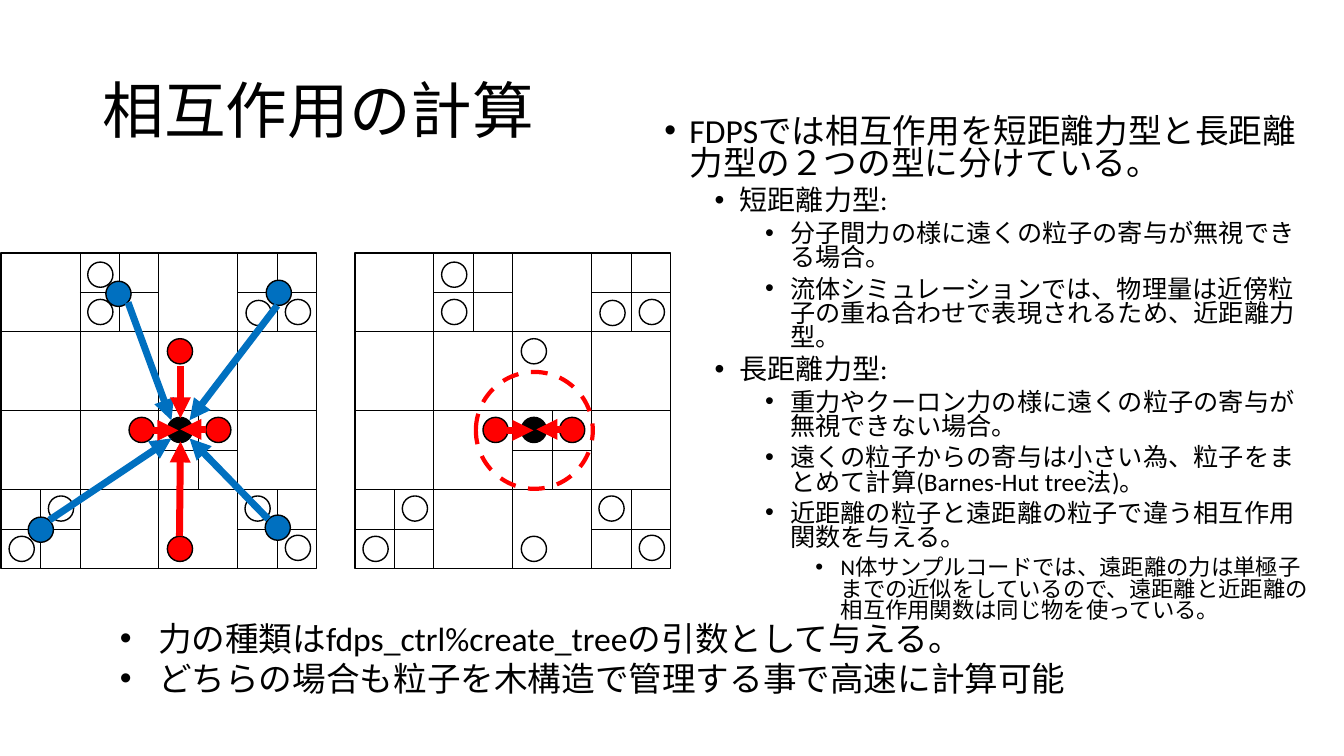
"""Build the slide on short-range and long-range particle interactions."""
from lxml import etree
from pptx import Presentation
from pptx import util as u
from pptx.dml.color import RGBColor
from pptx.enum import dml, shapes, text
from pptx.oxml.ns import qn

BLACK = RGBColor(0, 0, 0)
WHITE = RGBColor(255, 255, 255)
RED = RGBColor(255, 0, 0)
BLUE = RGBColor(0, 112, 192)
FONT = "Calibri"

TITLE = "相互作用の計算"
BODY = [
    (0, "FDPSでは相互作用を短距離力型と長距離力型の２つの型に分けている。"),
    (1, "短距離力型:"),
    (2, "分子間力の様に遠くの粒子の寄与が無視できる場合。"),
    (2, "流体シミュレーションでは、物理量は近傍粒子の重ね合わせで表現されるため、近距離力型。"),
    (1, "長距離力型:"),
    (2, "重力やクーロン力の様に遠くの粒子の寄与が無視できない場合。"),
    (2, "遠くの粒子からの寄与は小さい為、粒子をまとめて計算(Barnes-Hut tree法)。"),
    (2, "近距離の粒子と遠距離の粒子で違う相互作用関数を与える。"),
    (3, "N体サンプルコードでは、遠距離の力は単極子までの近似をしているので、"
        "遠距離と近距離の相互作用関数は同じ物を使っている。"),
]
BODY_SIZES = (24, 20, 18, 16)
NOTES = [
    "力の種類はfdps_ctrl%create_treeの引数として与える。",
    "どちらの場合も粒子を木構造で管理する事で高速に計算可能",
]

BOARD_TOP, SIDE, DOT = 2.51, 3.13, 0.25
CELL = SIDE / 8
BOARD_LEFTS = {"long": 0.01, "short": 3.52}
FULL_LINES = (2, 4, 6)
SPLIT_LINES = [
    (2, 1, 4, 1), (6, 1, 8, 1), (0, 7, 2, 7), (4, 5, 6, 5), (6, 7, 8, 7),
    (1, 8, 1, 6), (7, 8, 7, 6), (5, 6, 5, 4), (3, 2, 3, 0), (7, 2, 7, 0),
]
PARTICLES = {
    "far": [(0.86, 0.46), (2.82, 2.8), (0.47, 2.41), (0.08, 2.81), (2.43, 0.47),
            (2.82, 0.46), (2.42, 2.41), (0.86, 0.09)],
    "middle": [(1.65, 2.81), (1.65, 0.85)],
    "near": [(2.03, 1.63), (1.27, 1.63)],
    "target": [(1.65, 1.63)],
}
PARTICLE_FILLS = {
    "long": {"far": WHITE, "middle": RED, "near": RED, "target": BLACK},
    "short": {"far": None, "middle": None, "near": RED, "target": BLACK},
}
CLUSTERS = [(2.63, 5.11), (0.28, 5.13), (1.05, 2.79), (2.64, 2.78)]
FORCES = {
    BLUE: [(1.27, 3, 1.7, 4.17), (2.75, 3.03, 1.88, 4.17),
           (0.49, 5.16, 1.7, 4.35), (2.66, 5.15, 1.88, 4.35)],
    RED: [(1.79, 3.63, 1.79, 4.15), (2.04, 4.26, 1.79, 4.26), (1.78, 5.32, 1.79, 4.38),
          (5.58, 4.26, 5.32, 4.26), (5.03, 4.27, 5.29, 4.27), (1.52, 4.27, 1.77, 4.27)],
}
CUTOFF = (4.72, 3.69, 1.16, 1.16)


def add_outline(page, kind, frame, fill=None, color=BLACK, width=1):
    shape = page.shapes.add_shape(kind, *map(u.Inches, frame))
    shape.shadow.inherit = False
    if fill is None:
        shape.fill.background()
    else:
        shape.fill.solid()
        shape.fill.fore_color.rgb = fill
    shape.line.color.rgb = color
    shape.line.width = u.Pt(width)
    return shape


def add_dot(page, left, top, fill):
    add_outline(page, shapes.MSO_SHAPE.OVAL, (left, top, DOT, DOT), fill)


def add_line(page, ends, color=BLACK, width=0.5, arrow=False):
    line = page.shapes.add_connector(shapes.MSO_CONNECTOR.STRAIGHT, *map(u.Inches, ends))
    line.line.color.rgb = color
    line.line.width = u.Pt(width)
    if arrow:
        etree.SubElement(line.line._get_or_add_ln(), qn("a:tailEnd"), type="triangle")
    etree.SubElement(line._element.spPr, qn("a:effectLst"))


def add_box(page, frame):
    box = page.shapes.add_textbox(*map(u.Inches, frame))
    box.text_frame.word_wrap = True
    return box.text_frame


def write(para, words, size):
    span = para.add_run()
    span.text = words
    span.font.size = u.Pt(size)
    span.font.name = FONT
    span.font.color.rgb = BLACK


def add_bullets(frame, items, hang, sizes):
    for number, (level, words) in enumerate(items):
        para = frame.paragraphs[0] if number == 0 else frame.add_paragraph()
        para.level = level
        props = para._p.get_or_add_pPr()
        props.set("marL", str(u.Inches(hang + level * 0.5)))
        props.set("indent", str(-u.Inches(hang)))
        etree.SubElement(props, qn("a:buFont"), typeface="Arial")
        etree.SubElement(props, qn("a:buChar"), char="•")
        write(para, words, sizes[level])


def add_board(page, left, fills):
    add_outline(page, shapes.MSO_SHAPE.RECTANGLE, (left, BOARD_TOP, SIDE, SIDE), fills["far"])
    rows = [(0, step, 8, step) for step in FULL_LINES]
    columns = [(step, 8, step, 0) for step in FULL_LINES]
    for x1, y1, x2, y2 in rows + columns + SPLIT_LINES:
        add_line(page, (left + x1 * CELL, BOARD_TOP + y1 * CELL,
                        left + x2 * CELL, BOARD_TOP + y2 * CELL))
    for group, spots in PARTICLES.items():
        for x, y in spots:
            add_dot(page, left + x, BOARD_TOP + y, fills[group])


def main():
    deck = Presentation()
    deck.slide_width, deck.slide_height = u.Inches(13.33), u.Inches(7.5)
    page = deck.slides.add_slide(deck.slide_layouts[6])

    title = add_box(page, (0.92, 0.4, 11.5, 1.45))
    title.vertical_anchor = text.MSO_ANCHOR.MIDDLE
    title.paragraphs[0].line_spacing = 0.9
    write(title.paragraphs[0], TITLE, 44)

    body = add_box(page, (6.49, 1.12, 6.6, 5.09))
    add_bullets(body, BODY, 0.25, BODY_SIZES)
    for para in body.paragraphs:
        para.line_spacing = 0.8
        para.space_before = u.Pt(5 if para.level else 10)

    for name, left in BOARD_LEFTS.items():
        add_board(page, left, PARTICLE_FILLS[name])
    for x, y in CLUSTERS:
        add_dot(page, x, y, BLUE)
    for color, arrows in FORCES.items():
        for ends in arrows:
            add_line(page, ends, color, 5, arrow=True)
    cutoff = add_outline(page, shapes.MSO_SHAPE.OVAL, CUTOFF, color=RED, width=3)
    cutoff.line.dash_style = dml.MSO_LINE.DASH

    notes = add_box(page, (1.09, 6.08, 9.85, 0.91))
    add_bullets(notes, [(0, words) for words in NOTES], 0.38, BODY_SIZES)

    deck.save("out.pptx")


if __name__ == "__main__":
    main()
